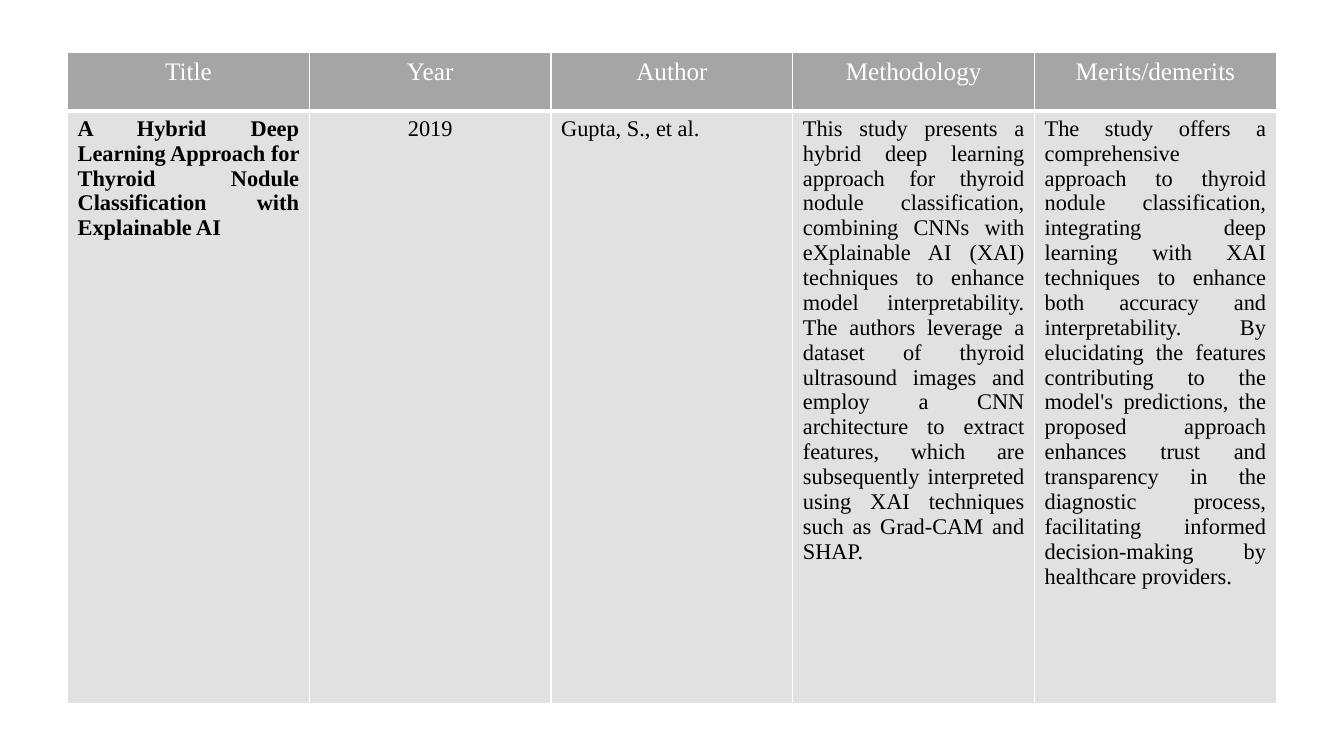
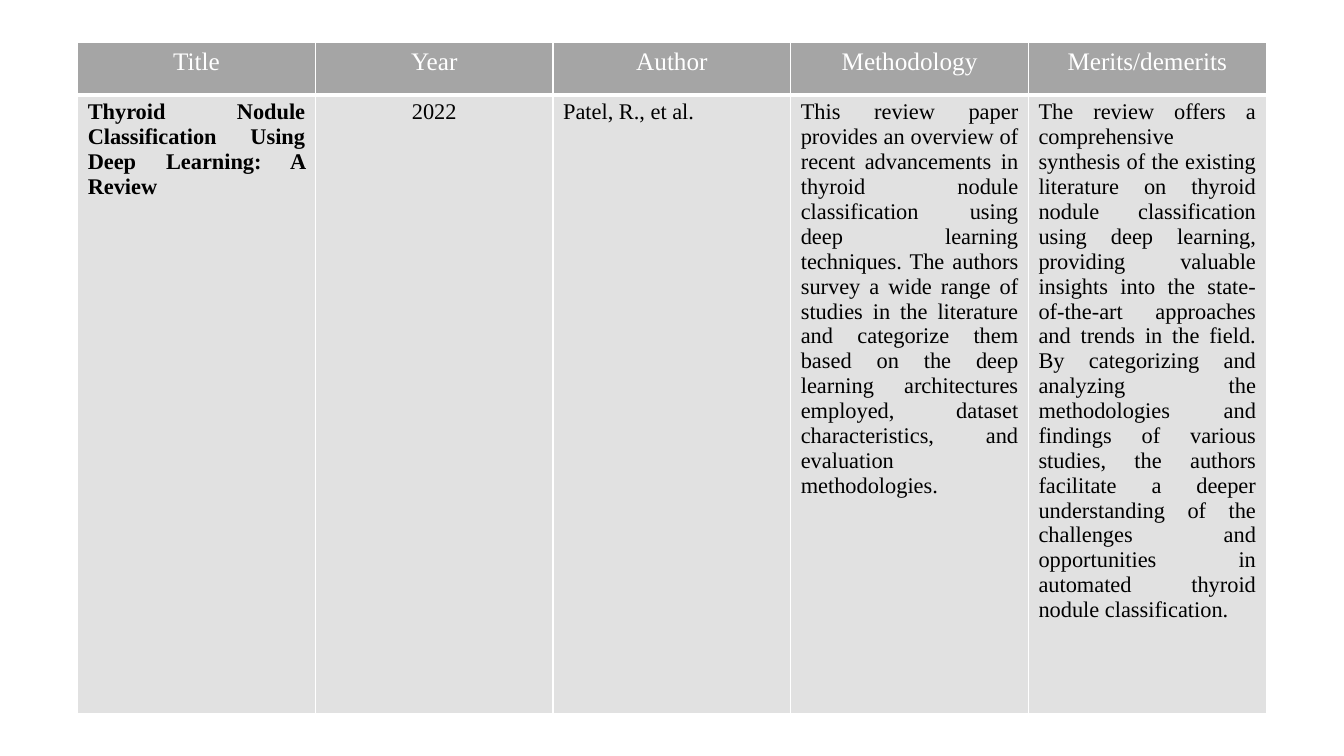
"""Build the literature review slides, one study to a table."""
import dataclasses

import lxml.etree
import pptx
import pptx.dml.color
import pptx.enum.text
import pptx.oxml.ns
import pptx.util

ALIGN = pptx.enum.text.PP_ALIGN


@dataclasses.dataclass(frozen=True)
class Theme:
    """Colours, font, type sizes and rule widths shared by the slides."""
    font: str = "Times New Roman"
    header_fill: str = "A5A5A5"
    body_fill: str = "E1E1E1"
    header_text: str = "FFFFFF"
    body_text: str = "000000"
    rule: str = "FFFFFF"
    header_size: int = 18
    body_size: int = 16
    thin: int = 1
    thick: int = 3


@dataclasses.dataclass(frozen=True)
class Study:
    """One reviewed study and the layout of its table in percent."""
    title: str
    year: str
    author: str
    methodology: str
    merits: str
    side_margin: float
    end_margin: float
    header_share: float


THEME = Theme()
HEADINGS = ("Title", "Year", "Author", "Methodology", "Merits/demerits")
STUDIES = (
    Study(
        title="A Hybrid Deep Learning Approach for Thyroid Nodule "
              "Classification with Explainable AI",
        year="2019",
        author="Gupta, S., et al.",
        methodology="This study presents a hybrid deep learning approach for thyroid "
                    "nodule classification, combining CNNs with eXplainable AI (XAI) "
                    "techniques to enhance model interpretability. The authors leverage "
                    "a dataset of thyroid ultrasound images and employ a CNN "
                    "architecture to extract features, which are subsequently "
                    "interpreted using XAI techniques such as Grad-CAM and SHAP.",
        merits="The study offers a comprehensive approach to thyroid nodule "
               "classification, integrating deep learning with XAI techniques to "
               "enhance both accuracy and interpretability. By elucidating the features "
               "contributing to the model's predictions, the proposed approach enhances "
               "trust and transparency in the diagnostic process, facilitating informed "
               "decision-making by healthcare providers.",
        side_margin=5.03, end_margin=6.97, header_share=9,
    ),
    Study(
        title="Thyroid Nodule Classification Using Deep Learning: A Review",
        year="2022",
        author="Patel, R., et al.",
        methodology="This review paper provides an overview of recent advancements in "
                    "thyroid nodule classification using deep learning techniques. The "
                    "authors survey a wide range of studies in the literature and "
                    "categorize them based on the deep learning architectures employed, "
                    "dataset characteristics, and evaluation methodologies.",
        merits="The review offers a comprehensive synthesis of the existing literature "
               "on thyroid nodule classification using deep learning, providing "
               "valuable insights into the state-of-the-art approaches and trends in "
               "the field. By categorizing and analyzing the methodologies and findings "
               "of various studies, the authors facilitate a deeper understanding of "
               "the challenges and opportunities in automated thyroid nodule "
               "classification.",
        side_margin=5.78, end_margin=5.64, header_share=7.8,
    ),
)


def rgb(value):
    """Return a colour object for a hex value."""
    return pptx.dml.color.RGBColor.from_string(value)


def write(frame, text, *, size, color, align, bold=False):
    """Write one formatted paragraph into a text frame."""
    paragraph = frame.paragraphs[0]
    paragraph.alignment = align
    run = paragraph.add_run()
    run.text = text
    run.font.name = THEME.font
    run.font.size = pptx.util.Pt(size)
    run.font.bold = bold
    run.font.color.rgb = rgb(color)


def rule_cell(cell, bottom):
    """Draw the four borders of a cell, with its own bottom width."""
    qn = pptx.oxml.ns.qn
    properties = cell._tc.get_or_add_tcPr()
    widths = {"a:lnL": THEME.thin, "a:lnR": THEME.thin,
              "a:lnT": THEME.thin, "a:lnB": bottom}
    for place, (side, width) in enumerate(widths.items()):
        line = lxml.etree.Element(qn(side), w=str(pptx.util.Pt(width)))
        fill = lxml.etree.SubElement(line, qn("a:solidFill"))
        lxml.etree.SubElement(fill, qn("a:srgbClr"), val=THEME.rule)
        properties.insert(place, line)


def fill_cell(cell, text, *, fill, bottom, **text_format):
    """Give a cell its text, fill and borders."""
    cell.fill.solid()
    cell.fill.fore_color.rgb = rgb(fill)
    write(cell.text_frame, text, **text_format)
    rule_cell(cell, bottom)


def study_table(slide, study, left, top, width, height):
    """Place the table of one study in the given box."""
    table = slide.shapes.add_table(2, len(HEADINGS), left, top, width, height).table
    for column in table.columns:
        column.width = width // len(HEADINGS)
    header, body = table.rows
    header.height = int(height * study.header_share / 100)
    body.height = height - header.height
    entries = (study.title, study.year, study.author, study.methodology, study.merits)
    for index, (heading, entry) in enumerate(zip(HEADINGS, entries)):
        fill_cell(table.cell(0, index), heading, fill=THEME.header_fill,
                  bottom=THEME.thick, size=THEME.header_size,
                  color=THEME.header_text, align=ALIGN.CENTER)
        fill_cell(table.cell(1, index), entry, fill=THEME.body_fill,
                  bottom=THEME.thin, size=THEME.body_size, color=THEME.body_text,
                  align=ALIGN.CENTER if heading == "Year" else ALIGN.JUSTIFY,
                  bold=heading == "Title")


def study_slide(deck, study):
    """Add a slide whose table is centred within the study's margins."""
    slide = deck.slides.add_slide(deck.slide_layouts[6])
    left = int(deck.slide_width * study.side_margin / 100)
    top = int(deck.slide_height * study.end_margin / 100)
    study_table(slide, study, left, top,
                deck.slide_width - 2 * left, deck.slide_height - 2 * top)


def main():
    """Build and save the deck."""
    deck = pptx.Presentation()
    deck.slide_width = pptx.util.Inches(13.33)
    deck.slide_height = pptx.util.Inches(7.5)
    for study in STUDIES:
        study_slide(deck, study)
    deck.save("out.pptx")


if __name__ == "__main__":
    main()
